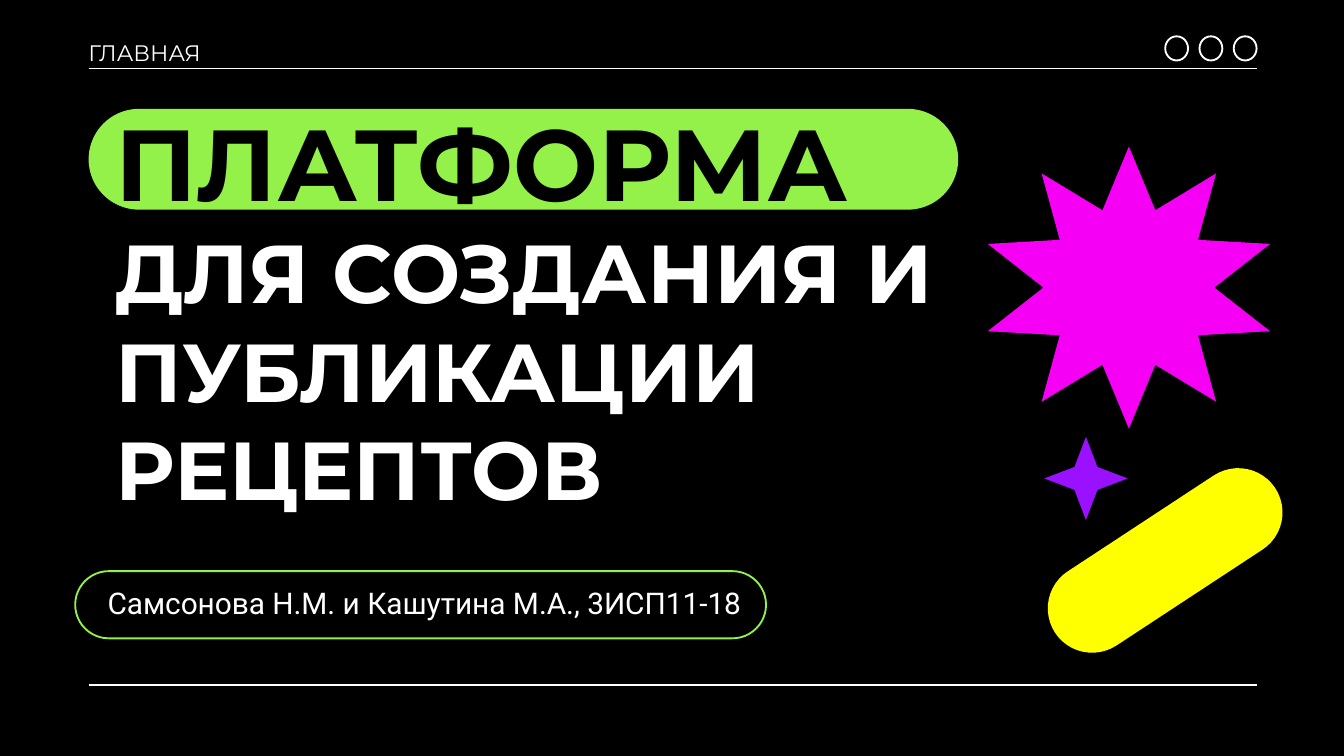
from lxml import etree
from pptx import Presentation
from pptx.dml.color import RGBColor
from pptx.enum.shapes import MSO_CONNECTOR, MSO_SHAPE
from pptx.enum.text import MSO_ANCHOR, MSO_AUTO_SIZE, PP_ALIGN
from pptx.oxml.ns import qn
from pptx.util import Inches, Pt

BLACK = RGBColor(0x00, 0x00, 0x00)
WHITE = RGBColor(0xFF, 0xFF, 0xFF)
GREEN = RGBColor(0x94, 0xF1, 0x4A)
MAGENTA = RGBColor(0xF5, 0x00, 0xF4)
YELLOW = RGBColor(0xFF, 0xFF, 0x00)
VIOLET = RGBColor(0x99, 0x11, 0xFF)

PILL, CIRCLE = MSO_SHAPE.ROUNDED_RECTANGLE, MSO_SHAPE.OVAL
STAR4, STAR10 = MSO_SHAPE.STAR_4_POINT, MSO_SHAPE.STAR_10_POINT
STRAIGHT = MSO_CONNECTOR.STRAIGHT
TOP, MIDDLE = MSO_ANCHOR.TOP, MSO_ANCHOR.MIDDLE
LEFT, NO_FIT = PP_ALIGN.LEFT, MSO_AUTO_SIZE.NONE

# Each run: text and font format
TITLE = [
    ("ПЛАТФОРМА\v", dict(name="Montserrat", size=Pt(54), bold=True), BLACK),
    ("ДЛЯ СОЗДАНИЯ И ПУБЛИКАЦИИ РЕЦЕПТОВ",
     dict(name="Montserrat", size=Pt(44), bold=True), WHITE),
]
AUTHORS = [("Самсонова Н.М. и Кашутина М.А., 3ИСП11-18",
            dict(name="Roboto", size=Pt(16)), WHITE)]
HEADER = [("ГЛАВНАЯ", dict(name="Montserrat", size=Pt(12)), WHITE)]

RULE_X, RULE_YS = (0.66, 9.35), (0.51, 5.1)
TITLE_PILL = (PILL, (0.66, 0.81, 6.47, 0.75), 0.5, GREEN)
# Preset, box, adjustment, fill, rotation
DECOR = [
    (STAR10, (7.35, 1.09, 2.1, 2.1), 0.288, MAGENTA, 0),
    (PILL, (7.69, 3.84, 1.96, 0.66), 0.5, YELLOW, 326.7),
    (STAR4, (7.77, 3.25, 0.62, 0.62), 0.195, VIOLET, 0),
]
AUTHORS_PILL = (0.56, 4.25, 5.14, 0.5)
CIRCLE_START, CIRCLE_STEP, CIRCLE_COUNT = 8.67, 0.255, 3


def add_shape(slide, preset, box, adj=None, fill=None, rotation=0, line=None):
    sp = slide.shapes.add_shape(preset, *map(Inches, box))
    sp.shadow.inherit = False
    sp.rotation = rotation
    if adj is not None:
        sp.adjustments[0] = adj
    if fill is None:
        sp.fill.background()
    else:
        sp.fill.solid()
        sp.fill.fore_color.rgb = fill
    if line is None:
        sp.line.fill.background()
    else:
        sp.line.color.rgb = line
        sp.line.width = Pt(1)
    return sp


def add_rule(slide, y):
    x1, x2 = RULE_X
    rule = slide.shapes.add_connector(
        STRAIGHT, Inches(x1), Inches(y), Inches(x2), Inches(y))
    rule.line.color.rgb = WHITE
    rule.line.width = Pt(1)
    etree.SubElement(rule.element.spPr, qn("a:effectLst"))
    return rule


def write(sp, box, runs, spacing, inset, anchor=TOP):
    """Place a text shape and fill its single paragraph with runs."""
    sp.left, sp.top, sp.width, sp.height = map(Inches, box)
    tf = sp.text_frame
    frame = dict(word_wrap=True, auto_size=NO_FIT, vertical_anchor=anchor,
                 margin_left=Inches(0.1), margin_right=Inches(0.1),
                 margin_top=Inches(inset), margin_bottom=Inches(inset))
    for name, value in frame.items():
        setattr(tf, name, value)
    p = tf.paragraphs[0]
    p.alignment, p.line_spacing, p.space_before = LEFT, spacing, Pt(0)
    for text, font, color in runs:
        r = p.add_run()
        r.text = text.rstrip("\v")
        for name, value in font.items():
            setattr(r.font, name, value)
        r.font.color.rgb = color
        if text.endswith("\v"):
            p.add_line_break()


def main():
    prs = Presentation()
    prs.slide_width = Inches(10)
    prs.slide_height = prs.slide_width * 9 // 16
    slide = prs.slides.add_slide(prs.slide_layouts[0])
    slide.background.fill.solid()
    slide.background.fill.fore_color.rgb = BLACK

    title, authors = slide.shapes.title, slide.placeholders[1]
    backdrop = [add_rule(slide, y) for y in RULE_YS]
    backdrop.append(add_shape(slide, *TITLE_PILL))
    for sp in backdrop:  # behind the title
        title.element.addprevious(sp.element)

    write(title, (0.76, 0.66, 7.25, 2.23), TITLE, 1.0, 0.09)
    write(authors, (0.7, 4.33, 5.23, 0.38), AUTHORS, 0.9, 0.05)
    header = slide.shapes.add_textbox(0, 0, 0, 0)
    write(header, (0.56, 0.26, 5.23, 0.28), HEADER, 0.9, 0.05, MIDDLE)

    for decor in DECOR:
        add_shape(slide, *decor)
    add_shape(slide, PILL, AUTHORS_PILL, 0.5, line=GREEN)
    for i in reversed(range(CIRCLE_COUNT)):
        box = (CIRCLE_START + i * CIRCLE_STEP, 0.27, 0.17, 0.18)
        add_shape(slide, CIRCLE, box, line=WHITE)

    prs.save("out.pptx")


if __name__ == "__main__":
    main()
